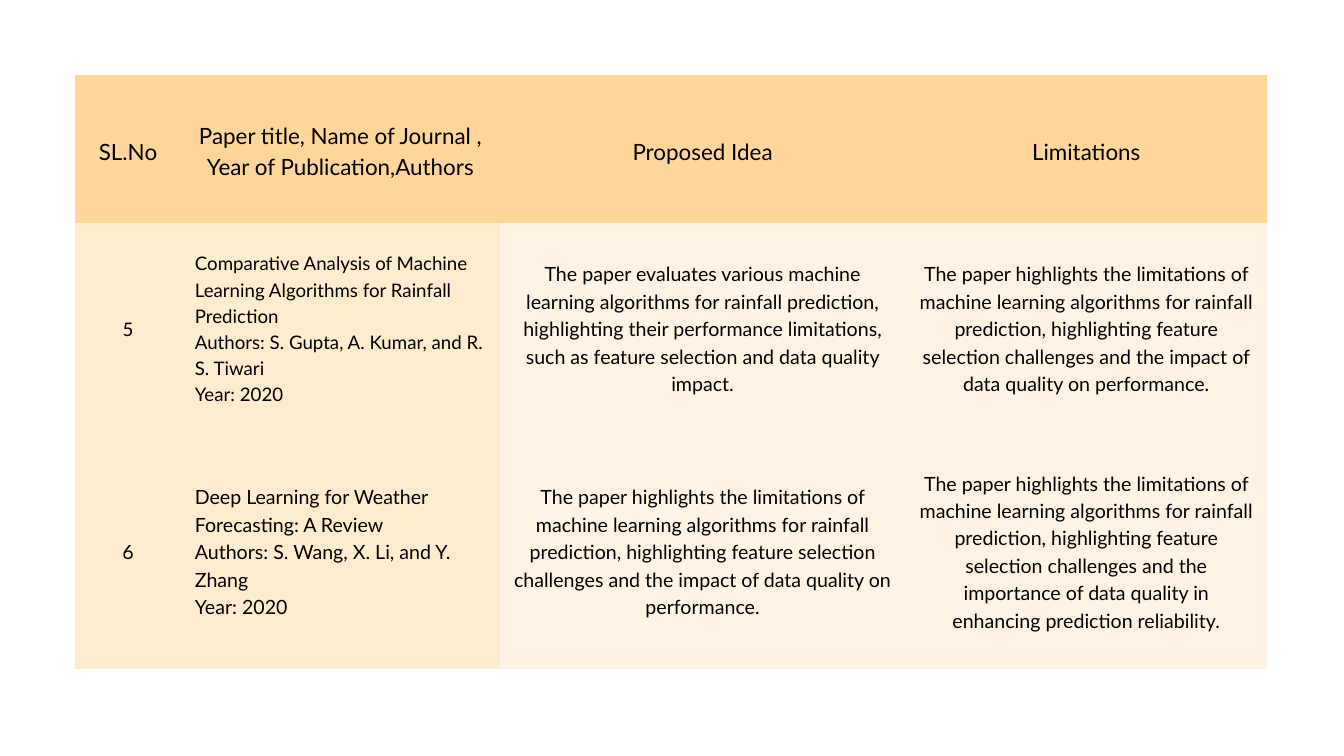
from dataclasses import dataclass

from lxml.etree import SubElement
from pptx import Presentation
from pptx.dml.color import RGBColor
from pptx.enum.text import MSO_ANCHOR as Anchor, PP_ALIGN as Align
from pptx.oxml.ns import qn
from pptx.table import _Cell as Cell
from pptx.util import Inches, Pt


@dataclass(frozen=True)
class Theme:
    font: str = "Lato"
    ink: RGBColor = RGBColor(0, 0, 0)
    header_fill: RGBColor = RGBColor(0xFF, 0xD6, 0x99)
    paper_fill: RGBColor = RGBColor(0xFF, 0xEB, 0xCD)
    finding_fill: RGBColor = RGBColor(0xFF, 0xF4, 0xE3)
    header_size: int = 24
    body_size: int = 21
    small_size: int = 20
    leading: float = 1.4
    padding: float = 0.21


@dataclass(frozen=True)
class Paper:
    number: str
    title: str
    authors: str
    year: str
    idea: str
    limitations: str
    citation_size: int


THEME = Theme()
SLIDE_WIDTH, SLIDE_HEIGHT = 20, 11.25
MARGIN = 1.12
COLUMN_WIDTHS = (1.57, 4.75, 6.03, 5.39)
ROW_HEIGHTS = (2.2, 3.1, 3.53)

HEADINGS = (
    "SL.No",
    "Paper title, Name of Journal , Year of Publication,Authors",
    "Proposed Idea",
    "Limitations",
)
FEATURE_LIMITS = (
    "The paper highlights the limitations of machine learning algorithms for "
    "rainfall prediction, highlighting feature selection challenges and the "
)
QUALITY_IMPACT = FEATURE_LIMITS + "impact of data quality on performance."
PAPERS = (
    Paper(
        number="5",
        title="Comparative Analysis of Machine Learning Algorithms for Rainfall Prediction",
        authors="S. Gupta, A. Kumar, and R. S. Tiwari",
        year="2020",
        idea="The paper evaluates various machine learning algorithms for rainfall "
        "prediction, highlighting their performance limitations, such as feature "
        "selection and data quality impact.",
        limitations=QUALITY_IMPACT,
        citation_size=THEME.small_size,
    ),
    Paper(
        number="6",
        title="Deep Learning for Weather Forecasting: A Review",
        authors="S. Wang, X. Li, and Y. Zhang",
        year="2020",
        idea=QUALITY_IMPACT,
        limitations=FEATURE_LIMITS
        + "importance of data quality in enhancing prediction reliability.",
        citation_size=THEME.body_size,
    ),
)


def remove_borders(cell: Cell) -> None:
    properties = cell._tc.get_or_add_tcPr()
    for side in ("lnL", "lnR", "lnT", "lnB"):
        border = SubElement(properties, qn(f"a:{side}"), w="0")
        SubElement(border, qn("a:noFill"))


def fill_cell(cell: Cell, text: str, size: int, fill: RGBColor,
              align: Align = Align.CENTER) -> None:
    remove_borders(cell)
    cell.fill.solid()
    cell.fill.fore_color.rgb = fill
    cell.vertical_anchor = Anchor.MIDDLE
    cell.margin_left = cell.margin_right = Inches(THEME.padding)
    cell.margin_top = cell.margin_bottom = Inches(THEME.padding)
    cell.text = text
    for paragraph in cell.text_frame.paragraphs:
        paragraph.alignment = align
        paragraph.line_spacing = Pt(size * THEME.leading)
        paragraph.font.name = THEME.font
        paragraph.font.size = Pt(size)
        paragraph.font.bold = False
        paragraph.font.color.rgb = THEME.ink


def main() -> None:
    presentation = Presentation()
    presentation.slide_width = Inches(SLIDE_WIDTH)
    presentation.slide_height = Inches(SLIDE_HEIGHT)
    slide = presentation.slides.add_slide(presentation.slide_layouts[6])

    table = slide.shapes.add_table(
        len(ROW_HEIGHTS), len(COLUMN_WIDTHS), Inches(MARGIN), Inches(MARGIN),
        Inches(sum(COLUMN_WIDTHS)), Inches(sum(ROW_HEIGHTS)),
    ).table
    for column, width in zip(table.columns, COLUMN_WIDTHS):
        column.width = Inches(width)
    for row, height in zip(table.rows, ROW_HEIGHTS):
        row.height = Inches(height)

    for column, heading in enumerate(HEADINGS):
        fill_cell(table.cell(0, column), heading, THEME.header_size, THEME.header_fill)

    for row, paper in enumerate(PAPERS, start=1):
        number, citation, idea, limitations = (
            table.cell(row, column) for column in range(len(HEADINGS))
        )
        reference = f"{paper.title}\nAuthors: {paper.authors}\nYear: {paper.year}"
        fill_cell(number, paper.number, paper.citation_size, THEME.paper_fill)
        fill_cell(citation, reference, paper.citation_size, THEME.paper_fill, Align.LEFT)
        fill_cell(idea, paper.idea, THEME.body_size, THEME.finding_fill)
        fill_cell(limitations, paper.limitations, THEME.body_size, THEME.finding_fill)

    presentation.save("out.pptx")


if __name__ == "__main__":
    main()
